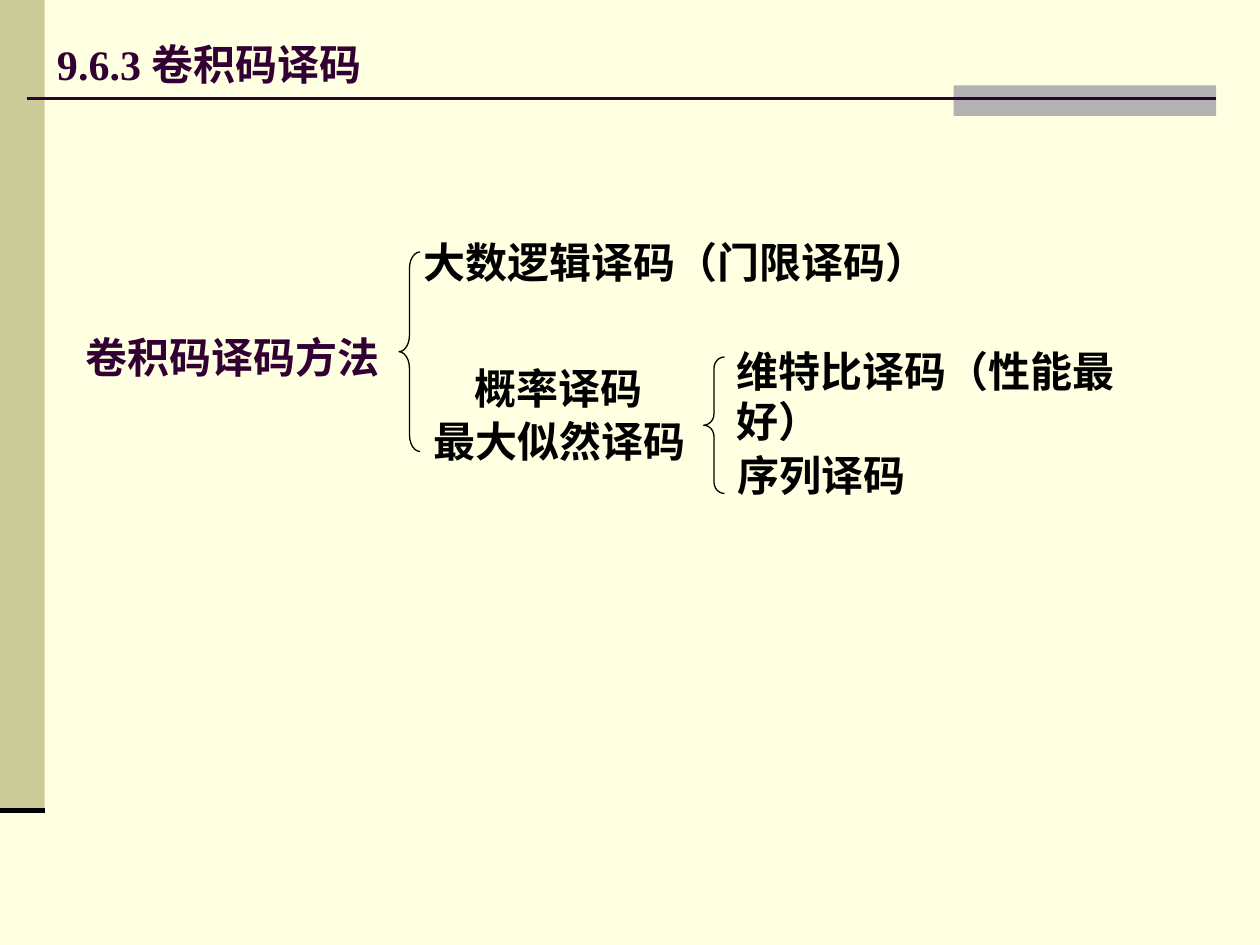
from lxml.etree import SubElement
from pptx import Presentation
from pptx.dml.color import RGBColor
from pptx.enum.shapes import MSO_CONNECTOR, MSO_SHAPE
from pptx.enum.text import MSO_ANCHOR
from pptx.oxml.ns import qn
from pptx.util import Pt

CREAM = RGBColor(0xFF, 0xFF, 0xE1)
KHAKI = RGBColor(0xCC, 0xCC, 0x99)
GRAY = RGBColor(0xB2, 0xB2, 0xB2)
PLUM = RGBColor(0x33, 0x00, 0x33)
BLACK = RGBColor(0x00, 0x00, 0x00)
FONT = "Times New Roman"
SIZE = 24

BARS = [
    (0, 0, 25.5, 463, KHAKI),
    (545, 48.8, 150, 17.5, GRAY),
]
RULES = [
    (15.3, 56.2, 694.8, 56.2, PLUM, 1.5),
    (25.5, 463, 0, 463, BLACK, 3),
]
TITLE = ("9.6.3 卷积码译码", 25.5, 9.4, 570, 54, PLUM, True)
LABELS = [
    ("卷积码译码方法", 41.8, 185.8, 183.6, 36, PLUM, True),
    ("大数逻辑译码（门限译码）", 234.9, 131.8, 302.4, 36, BLACK, False),
    ("概率译码", 264.2, 203.8, 110.4, 36, BLACK, False),
    ("最大似然译码", 240.4, 234, 158.4, 36, BLACK, False),
    ("维特比译码（性能最好）", 414, 193.7, 264.2, 64.8, BLACK, True),
    ("序列译码", 414.6, 253.4, 110.4, 36, BLACK, False),
]
BRACES = [(228, 144, 12, 114), (402, 204, 12, 78)]

deck = Presentation()
deck.slide_width, deck.slide_height = Pt(720), Pt(540)
slide = deck.slides.add_slide(deck.slide_layouts[6])
slide.background.fill.solid()
slide.background.fill.fore_color.rgb = CREAM
shapes = slide.shapes


def add_bar(left, top, width, height, color):
    bar = shapes.add_shape(MSO_SHAPE.RECTANGLE, Pt(left), Pt(top), Pt(width), Pt(height))
    bar.shadow.inherit = False
    bar.fill.solid()
    bar.fill.fore_color.rgb = color
    bar.line.fill.background()


def add_rule(x1, y1, x2, y2, color, weight):
    rule = shapes.add_connector(MSO_CONNECTOR.STRAIGHT, Pt(x1), Pt(y1), Pt(x2), Pt(y2))
    rule.line.color.rgb = color
    rule.line.width = Pt(weight)
    SubElement(rule._element.spPr, qn("a:effectLst"))


def add_label(text, left, top, width, height, color, wrap):
    box = shapes.add_textbox(Pt(left), Pt(top), Pt(width), Pt(height))
    frame = box.text_frame
    frame.word_wrap = wrap
    run = frame.paragraphs[0].add_run()
    run.text = text
    run.font.name = FONT
    run.font.size = Pt(SIZE)
    run.font.bold = True
    run.font.color.rgb = color
    return frame


def add_brace(left, top, width, height):
    brace = shapes.add_shape(MSO_SHAPE.LEFT_BRACE, Pt(left), Pt(top), Pt(width), Pt(height))
    brace.shadow.inherit = False
    brace.adjustments[0] = round(height / 12 / width, 2)
    brace.fill.background()
    brace.line.color.rgb = BLACK
    brace.line.width = Pt(0.75)


for bar in BARS:
    add_bar(*bar)
for rule in RULES:
    add_rule(*rule)
add_label(*TITLE).vertical_anchor = MSO_ANCHOR.MIDDLE
for label in LABELS:
    add_label(*label)
for brace in BRACES:
    add_brace(*brace)

deck.save("out.pptx")
